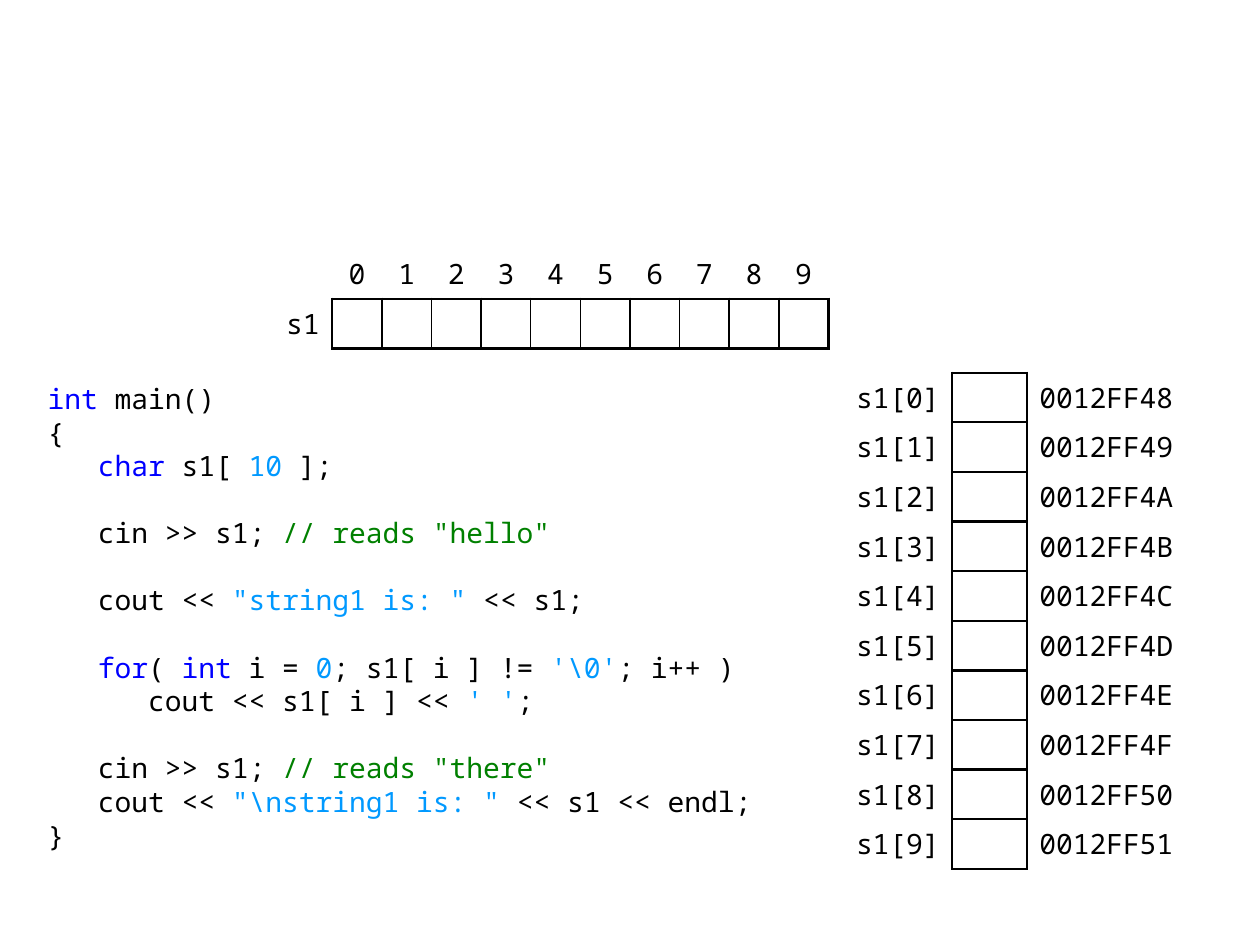
from lxml.etree import SubElement
from pptx import Presentation
from pptx.dml.color import RGBColor
from pptx.enum.text import MSO_ANCHOR, PP_ALIGN
from pptx.oxml.ns import qn
from pptx.util import Pt

COLORS = {
    "text": "000000",
    "keyword": "0000FF",
    "literal": "0099FF",
    "comment": "008000",
    "paper": "FFFFFF",
}
FONT = "Noto Sans Mono"
SIZE = 16
LINE = 19.2
CELL = 28.35
THICK, THIN = 1.5, 1
COUNT = 10
FIRST_ADDRESS = 0x0012FF48

# Each code line: lines of gap above it, then (text, color) pieces
CODE = [
    (0, [("int", "keyword"), (" main()", "text")]),
    (0, [("{", "text")]),
    (0, [("   ", "text"), ("char", "keyword"), (" s1[ ", "text"),
         ("10", "literal"), (" ];", "text")]),
    (1, [("   cin >> s1;", "text"), (' // reads "hello"', "comment")]),
    (1, [("   cout << ", "text"), ('"string1 is: "', "literal"),
         (" << s1;", "text")]),
    (1, [("   ", "text"), ("for", "keyword"), ("( ", "text"),
         ("int", "keyword"), (" i = ", "text"), ("0", "literal"),
         ("; s1[ i ] != ", "text"), (r"'\0'", "literal"),
         ("; i++ )", "text")]),
    (0, [("      cout << s1[ i ] << ", "text"), ("' '", "literal"),
         (";", "text")]),
    (1, [("   cin >> s1; ", "text"), ('// reads "there"', "comment")]),
    (0, [("   cout << ", "text"), (r'"\nstring1 is: " ', "literal"),
         ("<< s1 << endl;", "text")]),
    (0, [("}", "text")]),
]


class SlideBuilder:
    def __init__(self, slide):
        self.slide = slide

    def style_font(self, font, color="text"):
        font.name = FONT
        font.size = Pt(SIZE)
        font.color.rgb = RGBColor.from_string(COLORS[color])

    def code(self, left, top, width, height, lines):
        body = self.slide.placeholders[1]
        body.left, body.top = Pt(left), Pt(top)
        body.width, body.height = Pt(width), Pt(height)
        frame = body.text_frame
        frame.word_wrap = True
        frame.vertical_anchor = MSO_ANCHOR.TOP
        frame.margin_top = Pt(5)
        for index, (gap, pieces) in enumerate(lines):
            paragraph = frame.paragraphs[0] if index == 0 else frame.add_paragraph()
            paragraph.line_spacing = Pt(LINE)
            paragraph.space_before = Pt(gap * LINE)
            properties = paragraph._p.get_or_add_pPr()
            properties.set("marL", "0")
            properties.set("indent", "0")
            SubElement(properties, qn("a:buNone"))
            for text, color in pieces:
                run = paragraph.add_run()
                run.text = text
                self.style_font(run.font, color)

    def table(self, left, top, widths, row_count):
        frame = self.slide.shapes.add_table(
            row_count, len(widths), Pt(left), Pt(top),
            Pt(sum(widths)), Pt(row_count * CELL))
        table = frame.table
        table.first_row = table.horz_banding = False
        for column, width in zip(table.columns, widths):
            column.width = Pt(width)
        for row in table.rows:
            row.height = Pt(CELL)
        return table

    def cell(self, cell, text="", align=PP_ALIGN.LEFT, borders=None,
             filled=False, margin=0, right=7.2):
        cell.vertical_anchor = MSO_ANCHOR.MIDDLE
        cell.margin_left, cell.margin_right = Pt(7.2), Pt(right)
        cell.margin_top = cell.margin_bottom = Pt(margin)
        properties = cell._tc.get_or_add_tcPr()
        for side in "LRTB":
            weight = (borders or {}).get(side, 0)
            line = SubElement(properties, qn(f"a:ln{side}"), w=str(Pt(weight)))
            if weight:
                fill = SubElement(line, qn("a:solidFill"))
                SubElement(fill, qn("a:srgbClr"), val=COLORS["text"])
            else:
                SubElement(line, qn("a:noFill"))
        if filled:
            cell.fill.solid()
            cell.fill.fore_color.rgb = RGBColor.from_string(COLORS["paper"])
        else:
            cell.fill.background()
        cell.text = text
        paragraph = cell.text_frame.paragraphs[0]
        paragraph.alignment = align
        self.style_font(paragraph.font)


def main():
    presentation = Presentation()
    presentation.slide_width, presentation.slide_height = Pt(720), Pt(540)
    slide = presentation.slides.add_slide(presentation.slide_layouts[1])
    title = slide.shapes.title
    title._element.getparent().remove(title._element)
    builder = SlideBuilder(slide)

    # Program listing
    builder.code(20, 213, 425.5, 283.5, CODE)

    # Memory column: element, content, address
    memory = builder.table(459.2, 213, [85, 42.5, 99.2], COUNT)
    for index in range(COUNT):
        builder.cell(memory.cell(index, 0), f"s1[{index}]", PP_ALIGN.RIGHT,
                     {"R": THICK}, margin=2.9)
        builder.cell(memory.cell(index, 1), borders=dict.fromkeys("LRTB", THICK),
                     filled=True, margin=2.9)
        builder.cell(memory.cell(index, 2), f"{FIRST_ADDRESS + index:08X}",
                     borders={"L": THICK}, filled=True, margin=2.9, right=5.8)

    # Array row: indexes above the empty cells
    array = builder.table(147.4, 142.4, [42.5] + [CELL] * COUNT, 2)
    builder.cell(array.cell(0, 0))
    builder.cell(array.cell(1, 0), "s1", PP_ALIGN.RIGHT, {"R": THICK})
    for index in range(COUNT):
        builder.cell(array.cell(0, index + 1), str(index), PP_ALIGN.CENTER,
                     {"B": THICK})
        builder.cell(array.cell(1, index + 1), borders={
            "L": THICK if index == 0 else THIN,
            "R": THICK if index == COUNT - 1 else THIN,
            "T": THICK, "B": THICK})

    presentation.save("out.pptx")


if __name__ == "__main__":
    main()
